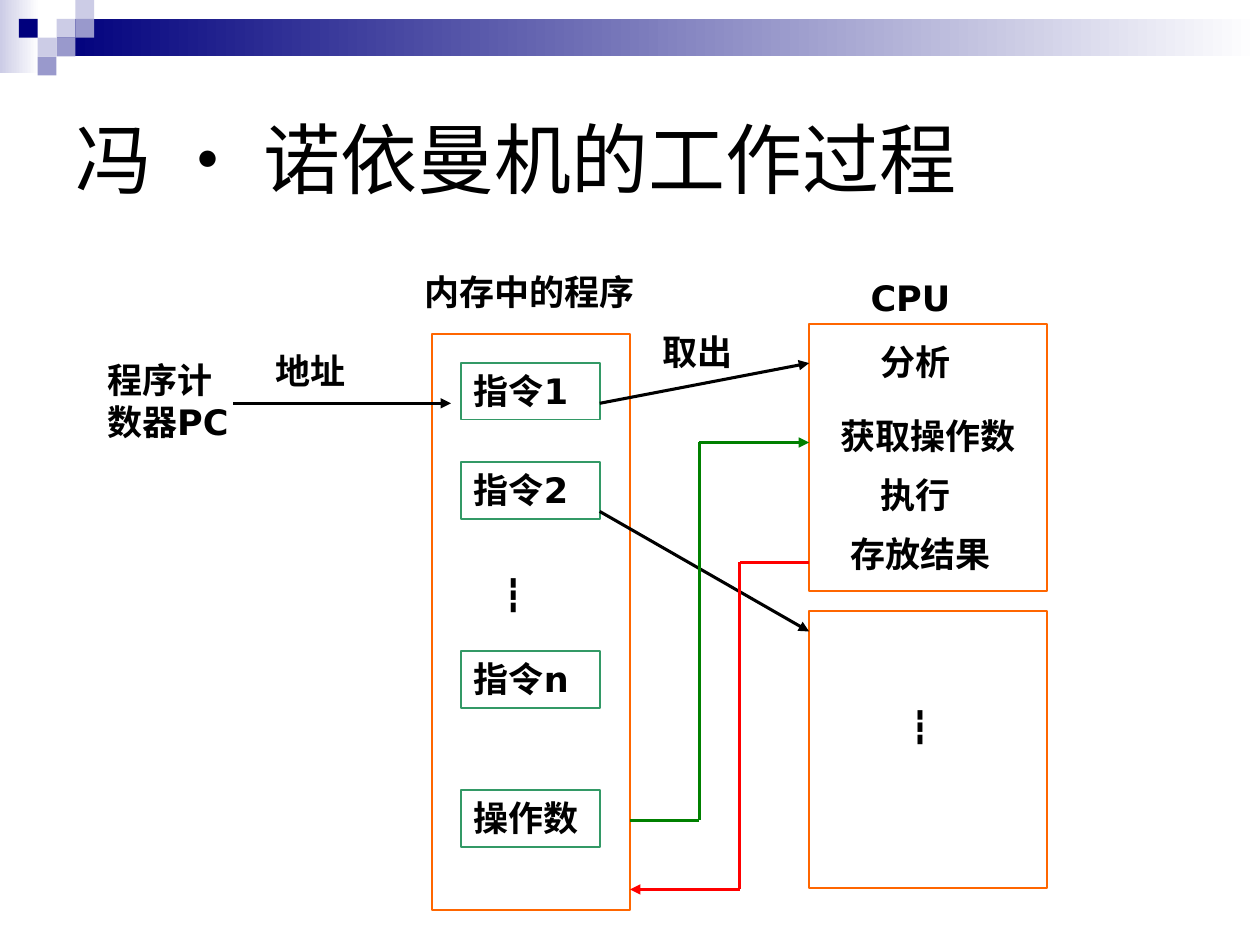
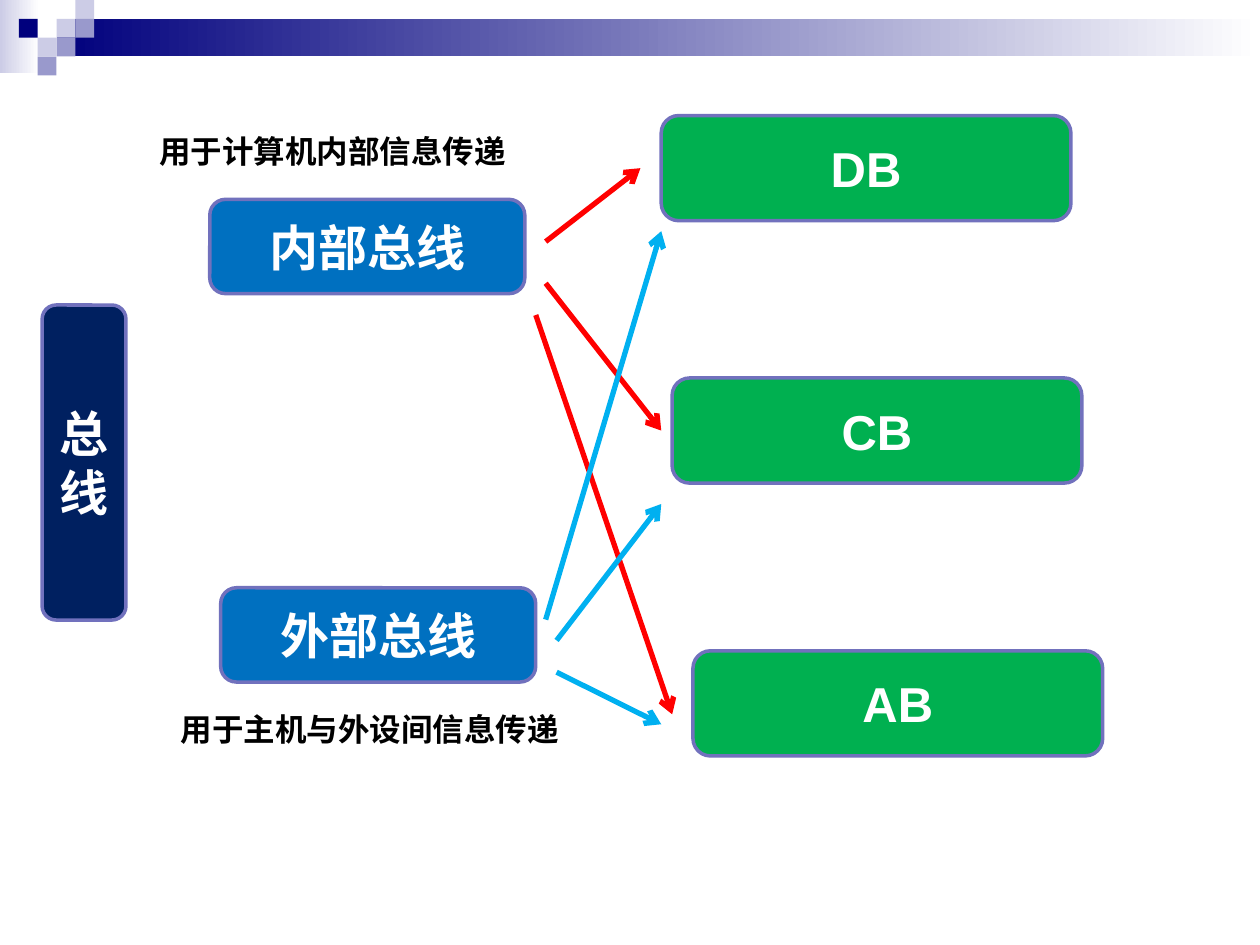
"""Build two slides: the von Neumann working cycle and the bus structure."""
import itertools

import lxml.etree
import pptx
import pptx.dml.color
import pptx.enum.shapes
import pptx.enum.text
import pptx.oxml.ns
import pptx.util

Cm, Pt = pptx.util.Cm, pptx.util.Pt
RGB = pptx.dml.color.RGBColor.from_string
RECT = pptx.enum.shapes.MSO_SHAPE.RECTANGLE
ROUND = pptx.enum.shapes.MSO_SHAPE.ROUNDED_RECTANGLE
TOP, MIDDLE = pptx.enum.text.MSO_ANCHOR.TOP, pptx.enum.text.MSO_ANCHOR.MIDDLE
LEFT, CENTER = pptx.enum.text.PP_ALIGN.LEFT, pptx.enum.text.PP_ALIGN.CENTER
qn = pptx.oxml.ns.qn

COLORS = {
    "navy": "00007D", "lilac": "CCCCE6", "violet": "9999CC", "white": "FFFFFF",
    "black": "000000", "orange": "FF6600", "teal": "339966", "green": "008000",
    "red": "FF0000", "midnight": "002060", "blue": "0070C0", "leaf": "00B050",
    "sky": "00B0F0", "rim": "7171BD",
}
CJK = "Noto Sans CJK SC"
FORMATS = {
    "title": {"font": {"size": Pt(44), "name": CJK}, "color": "black",
              "frame": {"word_wrap": True, "vertical_anchor": MIDDLE}, "align": LEFT},
    "label": {"font": {"size": Pt(20), "name": "DejaVu Sans", "bold": True}, "color": "black",
              "frame": {"word_wrap": True, "vertical_anchor": TOP}, "align": LEFT},
    "dots": {"font": {"size": Pt(18), "name": "Lato", "bold": True}, "color": "black",
             "frame": {"word_wrap": True, "vertical_anchor": TOP}, "align": LEFT},
    "note": {"font": {"size": Pt(18), "name": "DejaVu Sans", "bold": True}, "color": "black",
             "frame": {"word_wrap": False, "vertical_anchor": TOP}, "align": LEFT},
    "bus": {"font": {"size": Pt(28), "name": "Arial", "bold": True}, "color": "white",
            "frame": {"word_wrap": True, "vertical_anchor": MIDDLE}, "align": CENTER},
}


def put_block(slide, at, text="", style="label", kind=None, fill=None, line=None, width=1):
    """Place a shape, or a text box if no kind is given, with its text."""
    box = [Cm(length) for length in at]
    if kind is None:
        block = slide.shapes.add_textbox(*box)
    else:
        block = slide.shapes.add_shape(kind, *box)
        block.shadow.inherit = False
        if isinstance(fill, tuple):
            block.fill.gradient()
            block.fill.gradient_angle = 0
            for stop, color in zip(block.fill.gradient_stops, fill):
                stop.color.rgb = RGB(COLORS[color])
        elif fill:
            block.fill.solid()
            block.fill.fore_color.rgb = RGB(COLORS[fill])
        else:
            block.fill.background()
        if line:
            block.line.color.rgb = RGB(COLORS[line])
            block.line.width = Pt(width)
        else:
            block.line.fill.background()
    if text:
        look = FORMATS[style]
        for name, value in look["frame"].items():
            setattr(block.text_frame, name, value)
        paragraph = block.text_frame.paragraphs[0]
        paragraph.alignment = look["align"]
        run = paragraph.add_run()
        run.text = text
        for name, value in look["font"].items():
            setattr(run.font, name, value)
        run.font.color.rgb = RGB(COLORS[look["color"]])
        east_asian = "Lato" if style == "dots" else CJK
        lxml.etree.SubElement(run.font._element, qn("a:ea"), typeface=east_asian)


def put_route(slide, points, color, width, head):
    """Join the points with straight connectors, with an arrowhead on the last."""
    for start, end in itertools.pairwise(points):
        leg = slide.shapes.add_connector(
            pptx.enum.shapes.MSO_CONNECTOR.STRAIGHT, *[Cm(length) for length in start + end])
        leg.line.color.rgb = RGB(COLORS[color])
        leg.line.width = Pt(width)
        if end == points[-1]:
            lxml.etree.SubElement(leg.line._get_or_add_ln(), qn("a:tailEnd"), type=head)
        lxml.etree.SubElement(leg._element.spPr, qn("a:effectLst"))


deck = pptx.Presentation()
deck.slide_width, deck.slide_height = Cm(25.4), Cm(19.05)
cycle, buses = [deck.slides.add_slide(deck.slide_layouts[6]) for _ in range(2)]

TILE = 0.38
TILES = [(3, 1, "lilac"), (4, 0, "lilac"), (4, 1, "violet"), (2, 2, "lilac"),
         (1, 1, "navy"), (3, 2, "violet"), (2, 3, "violet")]
for slide in (cycle, buses):
    put_block(slide, (0, 0, 0.79, 1.47), kind=RECT, fill=("lilac", "white"))
    put_block(slide, (1.14, 0.38, 24.26, 0.76), kind=RECT, fill=("navy", "white"))
    for column, row, color in TILES:
        put_block(slide, (column * TILE, row * TILE, TILE, TILE), kind=RECT, fill=color)

put_block(cycle, (1.27, 1.27, 22.86, 3.81), "冯 • 诺依曼机的工作过程", "title")

memory = (8.71, 6.73, 3.99, 11.61)
cpu = (16.31, 6.53, 4.8, 5.38)
next_cycle = (16.31, 12.32, 4.8, 5.59)
for frame in (memory, cpu, next_cycle):
    put_block(cycle, frame, kind=RECT, line="orange")

for cell, top in [("指令1", 7.32), ("指令2", 9.32), ("指令n", 13.13), ("操作数", 15.93)]:
    put_block(cycle, (9.3, top, 2.79, 1.14), cell, kind=RECT, line="teal")

for label, left, top, width in [
    ("内存中的程序", 8.31, 5.33, 5), ("CPU", 17.3, 5.44, 2.59),
    ("分析", 17.5, 6.73, 2.21), ("获取操作数", 16.69, 8.23, 4.39),
    ("执行", 17.5, 9.42, 2.21), ("存放结果", 16.89, 10.62, 3.61),
    ("程序计数器PC", 1.91, 7.11, 3.2), ("地址", 5.31, 6.93, 2.01),
    ("取出", 13.11, 6.53, 2.59),
]:
    put_block(cycle, (left, top, width, 1.09), label)

for left, top in [(9.91, 11.46), (18.11, 14.12)]:
    put_block(cycle, (left, top, 1.6, 1.27), "┇", "dots")

for color, points in [
    ("black", [(4.7, 8.13), (9.09, 8.13)]),
    ("black", [(12.09, 8.13), (16.31, 7.32)]),
    ("black", [(12.09, 10.31), (16.31, 12.73)]),
    ("green", [(12.7, 16.54), (14.1, 16.54), (14.1, 8.92), (16.31, 8.92)]),
    ("red", [(16.31, 11.33), (14.91, 11.33), (14.91, 17.93), (12.7, 17.93)]),
]:
    put_route(cycle, points, color, 1.75, "triangle")

for name, fill, at in [
    ("总线", "midnight", (0.85, 6.15, 1.69, 6.35)),
    ("内部总线", "blue", (4.23, 4.02, 6.35, 1.9)),
    ("外部总线", "blue", (4.45, 11.85, 6.35, 1.9)),
    ("DB", "leaf", (13.33, 2.33, 8.26, 2.12)),
    ("CB", "leaf", (13.55, 7.62, 8.26, 2.12)),
    ("AB", "leaf", (13.97, 13.12, 8.26, 2.12)),
]:
    put_block(buses, at, name, "bus", ROUND, fill, "rim", 2)

for color, start, end in [
    ("red", (11, 4.87), (12.91, 3.39)),
    ("red", (11, 5.71), (13.33, 8.68)),
    ("red", (10.8, 6.35), (13.55, 14.4)),
    ("sky", (11, 12.49), (13.33, 4.66)),
    ("sky", (11.22, 12.91), (13.33, 10.16)),
    ("sky", (11.22, 13.55), (13.33, 14.6)),
]:
    put_route(buses, [start, end], color, 3, "arrow")

put_block(buses, (2.96, 2.54, 7.62, 1.02), "用于计算机内部信息传递", "note")
put_block(buses, (3.39, 14.18, 8.26, 1.02), "用于主机与外设间信息传递", "note")

deck.save("out.pptx")
